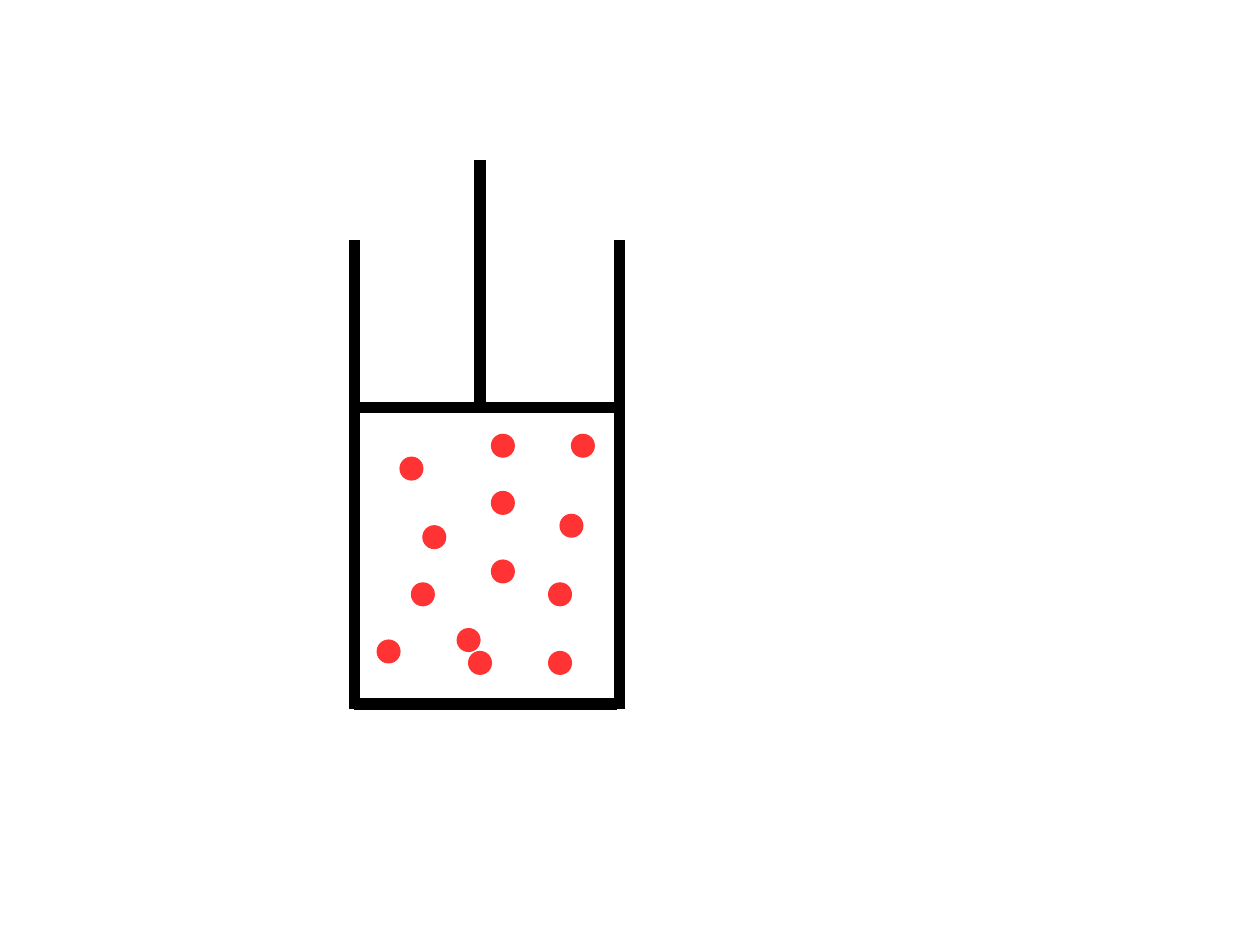
from dataclasses import dataclass

from lxml import etree
from pptx import Presentation
from pptx.dml.color import RGBColor
from pptx.enum.shapes import MSO_CONNECTOR, MSO_SHAPE
from pptx.oxml.ns import qn
from pptx.util import Pt

STRAIGHT = MSO_CONNECTOR.STRAIGHT
OVAL = MSO_SHAPE.OVAL
BLANK_LAYOUT = 6
GRID = 7.2


@dataclass(frozen=True)
class Theme:
    wall: RGBColor = RGBColor(0, 0, 0)
    particle: RGBColor = RGBColor(0xFF, 0x33, 0x33)
    wall_width: float = 7.2
    particle_size: float = 14.4


THEME = Theme()

PARTICLES = [
    (6, 10), (12, 7), (12, 13), (17, 21), (10, 21), (9, 19), (4, 4),
    (19, 2), (12, 2), (2, 20), (18, 9), (17, 15), (5, 15),
]


def add_wall(s, x1, y1, x2, y2):
    line = s.shapes.add_connector(STRAIGHT, Pt(x1), Pt(y1), Pt(x2), Pt(y2))
    line.line.color.rgb = THEME.wall
    line.line.width = Pt(THEME.wall_width)
    etree.SubElement(line._element.spPr, qn("a:effectLst"))


def add_cylinder(s, left, top, width, height):
    right, bottom = left + width, top + height
    for x in (left, right):
        add_wall(s, x, top, x, bottom)
    floor = bottom - 2.88
    add_wall(s, left, floor, right - 1.44, floor)


def add_piston(s, left, top, width, height):
    plate = top + height
    rod = left + 11 * GRID
    add_wall(s, left, plate, left + width, plate)
    add_wall(s, rod, top, rod, plate)


def add_gas(s, left, top):
    size = Pt(THEME.particle_size)
    for col, row in PARTICLES:
        x, y = left + col * GRID, top + row * GRID
        sp = s.shapes.add_shape(OVAL, Pt(x), Pt(y), size, size)
        sp.shadow.inherit = False
        sp.fill.solid()
        sp.fill.fore_color.rgb = THEME.particle
        sp.line.color.rgb = THEME.particle
        sp.line.width = Pt(0)


def main():
    prs = Presentation()
    prs.slide_width, prs.slide_height = Pt(793.7), Pt(595.28)
    s = prs.slides.add_slide(prs.slide_layouts[BLANK_LAYOUT])
    left = 223.2
    add_cylinder(s, left, 151.2, 167.04, 295.2)
    add_piston(s, left, 100.8, 165.6, 156)
    add_gas(s, left, 259.2)
    prs.save("out.pptx")


if __name__ == "__main__":
    main()
